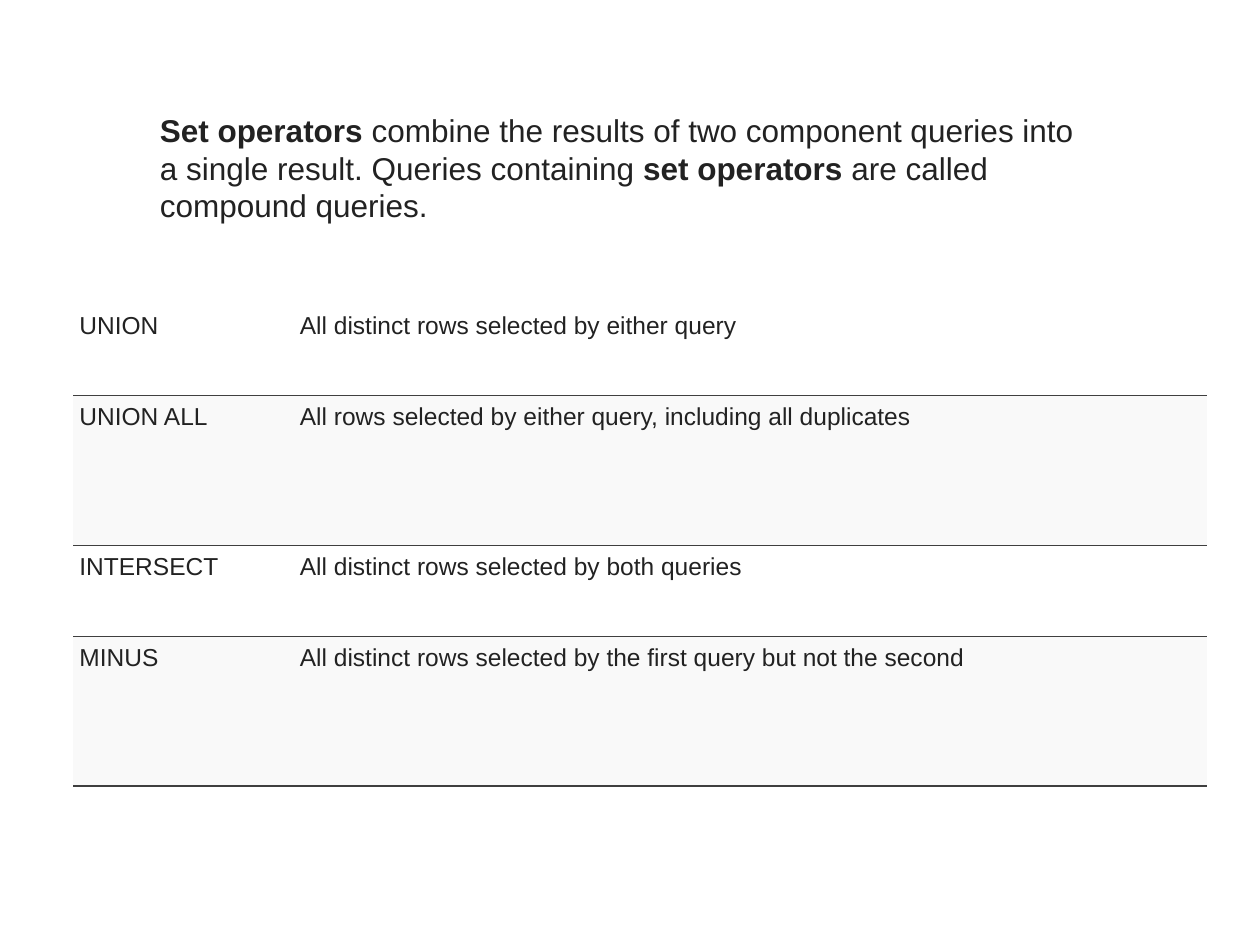
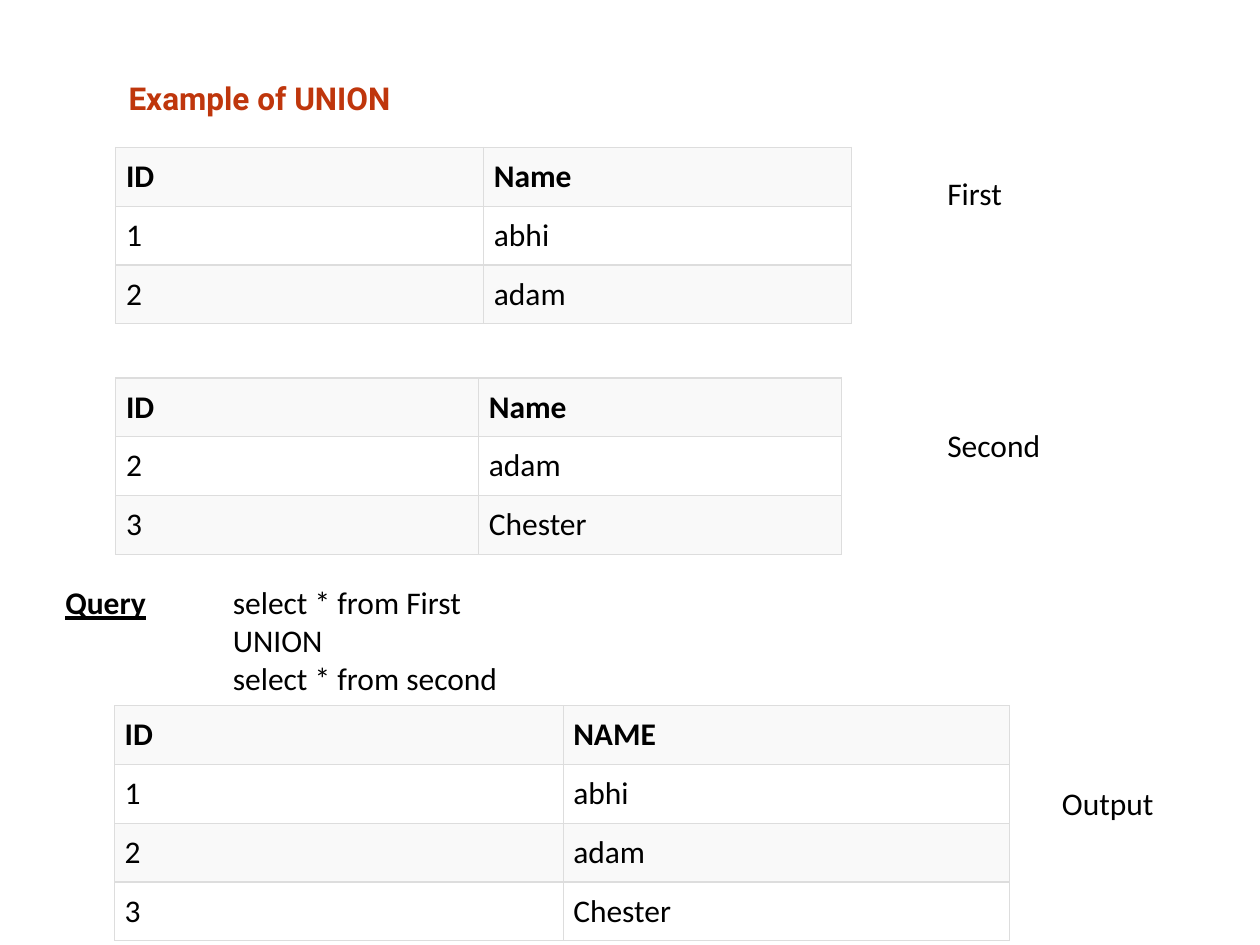
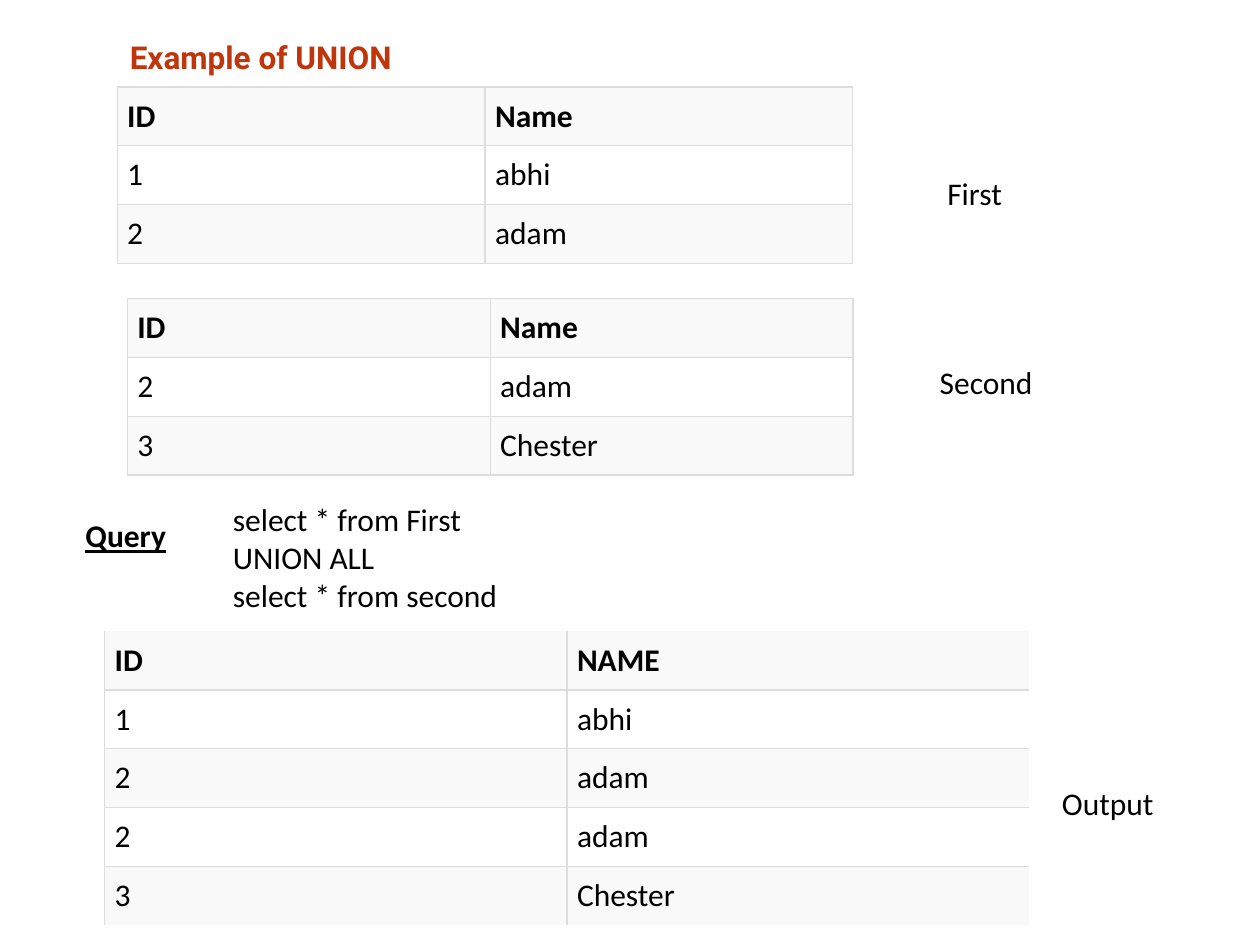
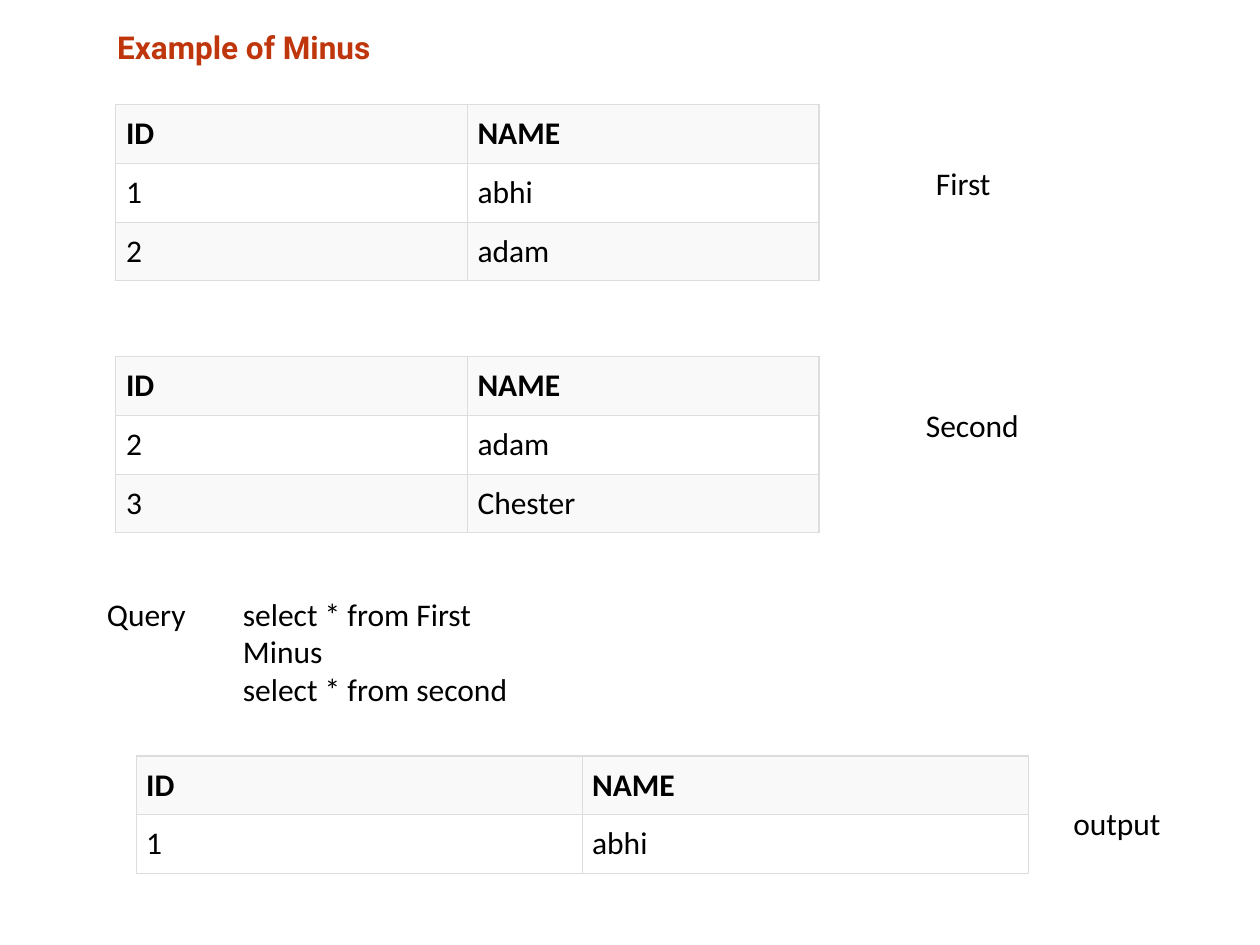
from lxml.etree import SubElement
from pptx import Presentation
from pptx.dml.color import RGBColor
from pptx.enum.text import MSO_ANCHOR, MSO_AUTO_SIZE, PP_ALIGN
from pptx.oxml.ns import qn
from pptx.util import Inches, Pt

COLORS = {
    "ink": "222222", "black": "000000", "title": "BF360C",
    "white": "FFFFFF", "band": "F9F9F9", "rule": "3F3F3F", "grid": "DDDDDD",
}

INTRO = [
    ("Set operators", True),
    ("\u00a0combine the results of two component queries into a single result. "
     "Queries containing\u00a0", False),
    ("set operators", True),
    ("\u00a0are called compound queries.\u00a0", False),
]
OPERATORS = [
    ("UNION", "All distinct rows selected by either query"),
    ("UNION ALL", "All rows selected by either query, including all duplicates"),
    ("INTERSECT", "All distinct rows selected by both queries"),
    ("MINUS", "All distinct rows selected by the first query but not the second"),
]

ABHI, ADAM, CHESTER = ("1", "abhi"), ("2", "adam"), ("3", "Chester")
MIXED, UPPER = ("ID", "Name"), ("ID", "NAME")

EXAMPLES = [
    {
        "title": ("Example of UNION", 0.92, 0.58, 2.43),
        "tables": [
            ([MIXED, ABHI, ADAM], 0.92, 1.17, (2.92, 2.92), False),
            ([MIXED, ADAM, CHESTER], 0.92, 3, (2.88, 2.88), False),
            ([UPPER, ABHI, ADAM, CHESTER], 0.91, 5.6, (3.56, 3.54), False),
        ],
        "labels": [("First", 7.42, 1.33, 1.5), ("Second", 7.42, 3.33, 1.5),
                   ("Output", 8.33, 6.17, 1.08)],
        "query": ("UNION", 1.75, 4.58),
        "query_label": (0.42, 4.58, 1, True),
    },
    {
        "title": ("Example of UNION", 0.93, 0.25, 2.43),
        "tables": [
            ([MIXED, ABHI, ADAM], 0.93, 0.69, (2.92, 2.92), False),
            ([MIXED, ADAM, CHESTER], 1.01, 2.37, (2.88, 2.88), False),
            ([UPPER, ABHI, ADAM, ADAM, CHESTER], 0.83, 5.01, (3.67, 3.67), True),
        ],
        "labels": [("First", 7.42, 1.33, 1.5), ("Second", 7.36, 2.83, 1.5),
                   ("Output", 8.33, 6.17, 1.08)],
        "query": ("UNION ALL", 1.75, 3.92),
        "query_label": (0.58, 4.05, 1, True),
    },
    {
        "title": ("Example of Minus", 0.83, 0.17, 2.35),
        "tables": [
            ([UPPER, ABHI, ADAM], 0.92, 0.83, (2.79, 2.79), False),
            ([UPPER, ADAM, CHESTER], 0.92, 2.83, (2.79, 2.79), False),
            ([UPPER, ABHI], 1.08, 6, (3.54, 3.54), False),
        ],
        "labels": [("First", 7.33, 1.25, 1.17), ("Second", 7.25, 3.17, 1.25),
                   ("output", 8.42, 6.33, 1.33)],
        "query": ("Minus", 1.83, 4.67),
        "query_label": (0.75, 4.67, 1.08, False),
    },
]
ROW_HEIGHT = 1.4 / 3
LINE_HEIGHT = 0.4


def rgb(name):
    return RGBColor.from_string(COLORS[name])


def style(r, font="Calibri", size=18, color="black", bold=False, underline=False):
    r.font.name, r.font.size = font, Pt(size)
    r.font.bold, r.font.underline = bold, underline
    r.font.color.rgb = rgb(color)


def add_text(s, lines, x, y, w, h=LINE_HEIGHT, **look):
    sp = s.shapes.add_textbox(Inches(x), Inches(y), Inches(w), Inches(h))
    tf = sp.text_frame
    tf.word_wrap = True
    tf.auto_size = MSO_AUTO_SIZE.SHAPE_TO_FIT_TEXT
    tf.text = "\n".join(lines)
    for p in tf.paragraphs:
        for r in p.runs:
            style(r, **look)
    return tf


def set_title(s, text, x, y, w):
    sp = s.shapes.title
    sp.left, sp.top, sp.width, sp.height = map(Inches, (x, y, w, LINE_HEIGHT))
    tf = sp.text_frame
    tf.text = text
    tf.word_wrap = False
    tf.auto_size = MSO_AUTO_SIZE.SHAPE_TO_FIT_TEXT
    tf.vertical_anchor = MSO_ANCHOR.TOP
    p = tf.paragraphs[0]
    p.alignment = PP_ALIGN.LEFT
    style(p.runs[0], "Roboto", 18, "title", True)


def set_borders(cell, widths, color):
    tcPr = cell._tc.get_or_add_tcPr()
    for side in "LRTB":
        width = widths.get(side, 0)
        ln = SubElement(tcPr, qn(f"a:ln{side}"), w=str(Pt(width)))
        if width:
            fill = SubElement(ln, qn("a:solidFill"))
            SubElement(fill, qn("a:srgbClr"), val=COLORS[color])
        else:
            SubElement(ln, qn("a:noFill"))


def add_grid(s, rows, x, y, cols, heights, borders, line, fills, insets, look):
    frame = s.shapes.add_table(len(rows), len(cols), Inches(x), Inches(y),
                               Inches(sum(cols)), Inches(sum(heights)))
    table = frame.table
    table.first_row = table.horz_banding = False
    for column, w in zip(table.columns, cols):
        column.width = Inches(w)
    for i, (row, h) in enumerate(zip(rows, heights)):
        table.rows[i].height = Inches(h)
        for j, text in enumerate(row):
            cell = table.cell(i, j)
            cell.margin_left = cell.margin_right = Inches(insets[0])
            cell.margin_top = cell.margin_bottom = Inches(insets[1])
            set_borders(cell, borders(i, j), line)
            cell.fill.solid()
            cell.fill.fore_color.rgb = rgb(fills[i % 2])
            cell.text_frame.text = text
            style(cell.text_frame.paragraphs[0].runs[0], **look(i))


def add_operator_table(s):
    last = len(OPERATORS) - 1

    def borders(i, j):
        return {"T": 0.75 if i else 0, "B": 1.5 if i == last else 0.75}

    add_grid(s, OPERATORS, 0.58, 2.42, (1.75, 7.25), (0.72, 1.19) * 2,
             borders, "rule", ("white", "band"), (0.05, 0.06),
             lambda i: {"font": "Arial", "size": 14, "color": "ink"})


def add_data_table(s, rows, x, y, cols, is_open):
    def borders(i, j):
        sides = dict.fromkeys("LRTB", 0.75)
        if is_open:
            outer = {"T": i == 0, "B": i == len(rows) - 1, "R": j == len(cols) - 1}
            sides.update({side: 0 for side, on_edge in outer.items() if on_edge})
        return sides

    add_grid(s, rows, x, y, cols, [ROW_HEIGHT] * len(rows), borders, "grid",
             ("band", "white"), (0.08, 0.08), lambda i: {"bold": i == 0})


prs = Presentation()
prs.slide_width, prs.slide_height = Inches(10), Inches(7.5)
TITLE_ONLY, BLANK = prs.slide_layouts[5], prs.slide_layouts[6]

s = prs.slides.add_slide(BLANK)
p = add_text(s, [""], 1.17, 0.83, 7.58, 1.01).paragraphs[0]
for text, bold in INTRO:
    r = p.add_run()
    r.text = text
    style(r, "Arial", 18, "ink", bold)
add_operator_table(s)

for example in EXAMPLES:
    s = prs.slides.add_slide(TITLE_ONLY)
    set_title(s, *example["title"])
    for table in example["tables"]:
        add_data_table(s, *table)
    operator, x, y = example["query"]
    add_text(s, ["select * from First", operator, "select * from second "], x, y, 5, 1.01)
    for text, x, y, w in example["labels"]:
        add_text(s, [text], x, y, w)
    x, y, w, strong = example["query_label"]
    add_text(s, ["Query"], x, y, w, bold=strong, underline=strong)

prs.save("out.pptx")
